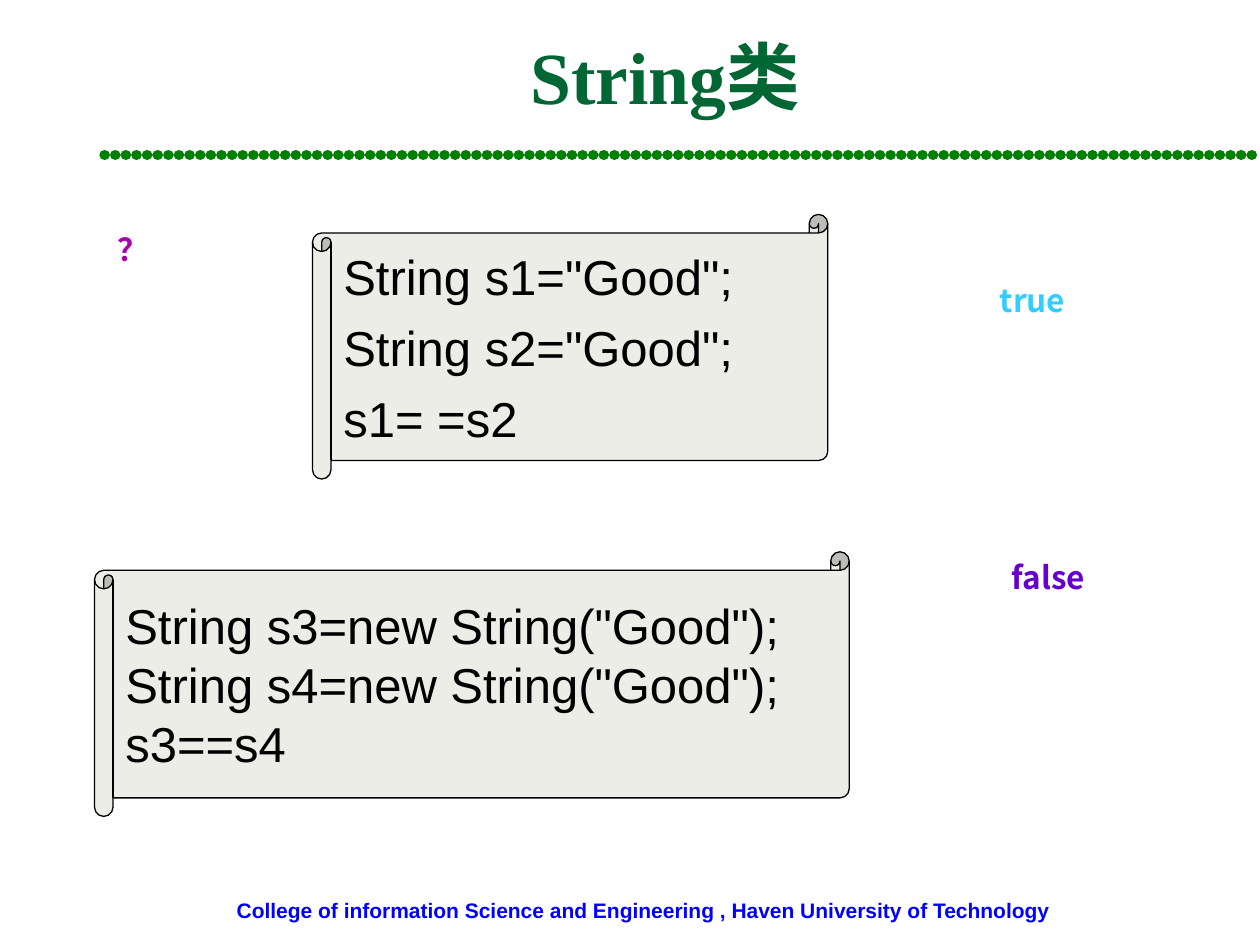
from lxml import etree
from pptx import Presentation
from pptx import util as u
from pptx.dml.color import RGBColor
from pptx.enum import shapes, text
from pptx.oxml import ns

WIDE, HIGH = 10, 7.5
THEME = {
    "sans": "Arial", "serif": "Times New Roman", "cjk": "Noto Sans CJK SC",
    "title": "006633", "foot": "0000FF", "rule": "008000",
    "paper": "ECEDE7", "ink": "000000",
    "big": 42, "code": 28, "note": 18, "small": 12,
    "dots": 6, "edge": 0.75,
}
TITLE = "String类"
FOOT = "College of information Science and Engineering , Haven University of Technology"
SCROLLS = [
    (["String s3=new String(\"Good\");", "String s4=new String(\"Good\");", "s3==s4"],
     (7.5, 58.4, 59.9, 28), 0),
    (["String s1=\"Good\";", "String s2=\"Good\";", "s1= =s2"],
     (24.8, 22.7, 40.9, 28), 7),
]
NOTES = [
    ("？", (3.5, 23.7, 14.2, 31.5), "A603AB"),
    ("true", (71.3, 29.1, 21.3, 14.7), "33CCFF"),
    ("false", (72, 58.4, 22.4, 24.1), "6600CC"),
]


def place(box):
    sides = (WIDE, HIGH, WIDE, HIGH)
    return [u.Inches(part * side / 100) for part, side in zip(box, sides)]


def tint(name):
    return RGBColor.from_string(name)


def write(shape, lines, face, size, color, bold=True, align="LEFT",
          anchor="TOP", wrap=True, gap=0):
    frame = shape.text_frame
    frame.text = "\n".join(lines)
    frame.word_wrap = wrap
    frame.vertical_anchor = getattr(text.MSO_ANCHOR, anchor)
    for para in frame.paragraphs:
        para.alignment = getattr(text.PP_ALIGN, align)
        para.space_before = u.Pt(gap)
        for run in para.runs:
            font = run.font
            font.name, font.size, font.bold = face, u.Pt(size), bold
            font.color.rgb = tint(color)
            east = etree.SubElement(run._r.get_or_add_rPr(), ns.qn("a:ea"))
            east.set("typeface", THEME["cjk"])


def label(slide, line, box, *style, **more):
    shape = slide.shapes.add_textbox(*place(box))
    write(shape, [line], *style, **more)


def rule(slide):
    left, top, right, end = place((8.3, 16.4, 100, 16.4))
    line = slide.shapes.add_connector(shapes.MSO_CONNECTOR.STRAIGHT, left, top, right, end)
    line.line.color.rgb = tint(THEME["rule"])
    line.line.width = u.Pt(THEME["dots"])
    stroke = line.line._get_or_add_ln()
    stroke.set("cap", "rnd")
    dash = etree.SubElement(stroke, ns.qn("a:custDash"))
    etree.SubElement(dash, ns.qn("a:ds"), d="1000", sp="100000")
    etree.SubElement(line._element.spPr, ns.qn("a:effectLst"))


def scroll(slide, lines, box, gap):
    shape = slide.shapes.add_shape(shapes.MSO_SHAPE.HORIZONTAL_SCROLL, *place(box))
    shape.adjustments[0] = 0.07
    shape.shadow.inherit = False
    shape.fill.solid()
    shape.fill.fore_color.rgb = tint(THEME["paper"])
    shape.line.color.rgb = tint(THEME["ink"])
    shape.line.width = u.Pt(THEME["edge"])
    write(shape, lines, THEME["sans"], THEME["code"], THEME["ink"],
          bold=False, anchor="MIDDLE", gap=gap)


def main():
    deck = Presentation()
    deck.slide_width, deck.slide_height = u.Inches(WIDE), u.Inches(HIGH)
    slide = deck.slides.add_slide(deck.slide_layouts[6])
    label(slide, FOOT, (17.8, 94.3, 66.8, 4), THEME["sans"], THEME["small"],
          THEME["foot"], wrap=False)
    rule(slide)
    for lines, box, gap in SCROLLS:
        scroll(slide, lines, box, gap)
    label(slide, TITLE, (10.6, 1.7, 84.4, 12.4), THEME["serif"], THEME["big"],
          THEME["title"], align="CENTER", anchor="MIDDLE")
    for line, box, color in NOTES:
        label(slide, line, box, THEME["cjk"], THEME["note"], color, align="CENTER")
    deck.save("out.pptx")


if __name__ == "__main__":
    main()
